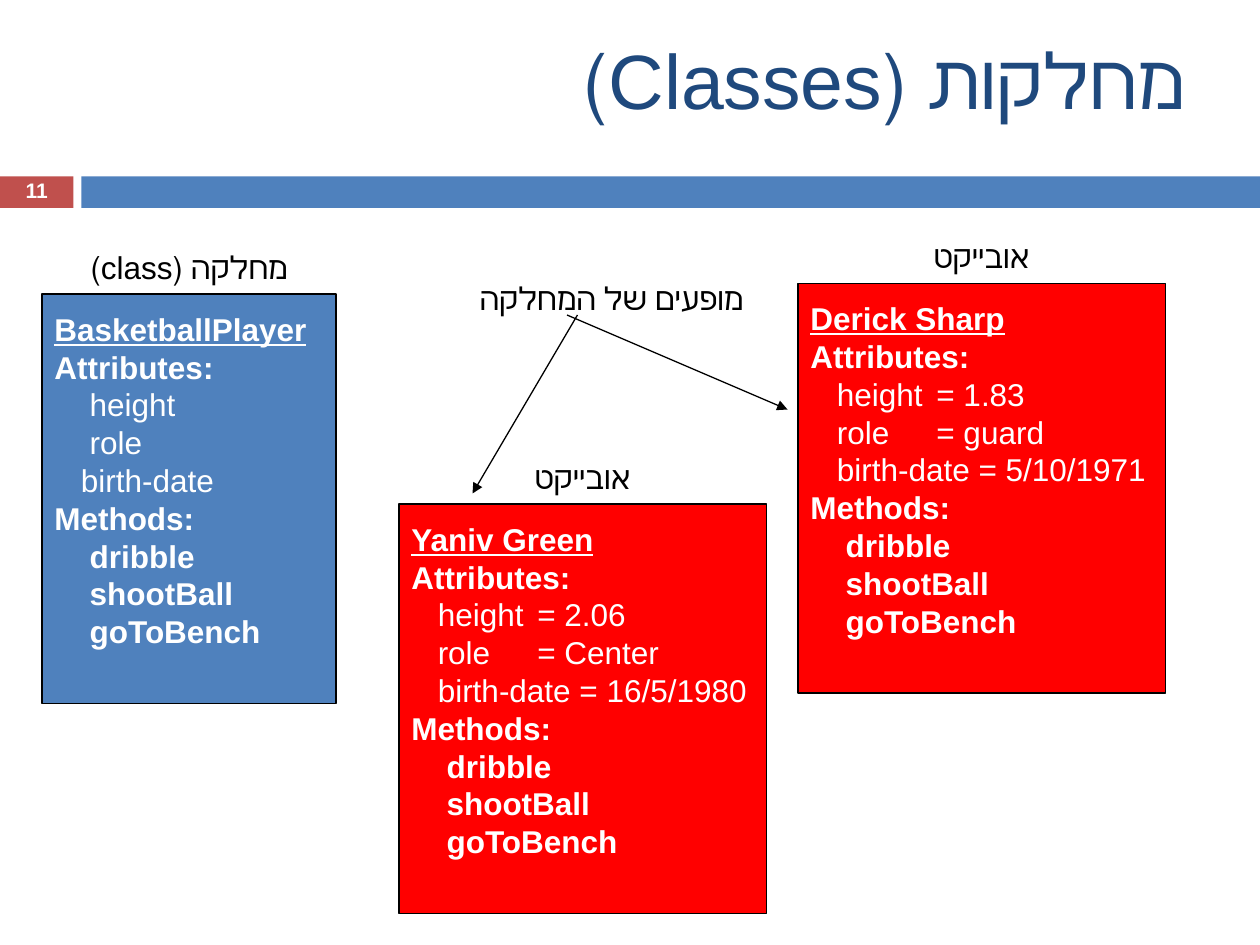
from pptx import Presentation
from pptx.util import Inches, Pt
from pptx.dml.color import RGBColor
from pptx.enum.shapes import MSO_SHAPE as Form, MSO_CONNECTOR as Wire
from pptx.enum.text import PP_ALIGN as Align, MSO_ANCHOR as Anchor
from pptx.oxml.ns import qn
from lxml.etree import SubElement as sub

deck = Presentation()
deck.slide_width, deck.slide_height = Inches(10), Inches(7.5)
page = deck.slides.add_slide(deck.slide_layouts[6])
UNIT = Inches(1) / 12  # grid of 120 columns by 90 rows


def box(home, col, row, wide, high, fill=None, line=None):
    """Add a rectangle, or a text box when there is no fill."""
    place = [round(n * UNIT) for n in (col, row, wide, high)]
    if fill is None:
        item = home.add_textbox(*place)
    else:
        item = home.add_shape(Form.RECTANGLE, *place)
        item.shadow.inherit = False
        item.fill.solid()
        item.fill.fore_color.rgb = RGBColor.from_string(fill)
        if line:
            item.line.color.rgb = RGBColor.from_string(line)
            item.line.width = Pt(0.75)
        else:
            item.line.fill.background()
    item.text_frame.word_wrap = True
    return item


def write(item, text, size=18, color="000000", bold=False, under=False,
          align=Align.CENTER, rtl=False, indent=0, tab=0, more=False):
    """Write one paragraph; more=True puts it after those already there."""
    frame = item.text_frame
    para = frame.add_paragraph() if more else frame.paragraphs[0]
    para.alignment = align
    props = para._p.get_or_add_pPr()
    if rtl:
        props.set("rtl", "1")
    if indent:
        props.set("marL", "0")
        props.set("indent", str(Inches(indent)))
    if tab:
        stops = sub(props, qn("a:tabLst"))
        sub(stops, qn("a:tab"), pos=str(Inches(tab)), algn="l")
    run = para.add_run()
    run.text = text
    font = run.font
    font.name, font.size, font.bold, font.underline = "Arial", Pt(size), bold, under
    font.color.rgb = RGBColor.from_string(color)
    return para


# Band with the slide number
box(page.shapes, 0, 16.8, 7, 3, "C0504D")
box(page.shapes, 7.75, 16.8, 112.25, 3, "4F81BD")
num = box(page.shapes, 0, 16.7, 7, 3.2)
num.text_frame.vertical_anchor = Anchor.MIDDLE
write(num, "11", size=12, color="FFFFFF", bold=True).line_spacing = 0.8

# Title
head = box(page.shapes, 6.1, 0, 108, 15)
head.text_frame.vertical_anchor = Anchor.MIDDLE
write(head, "מחלקות (Classes)", size=44, color="1F497D", align=Align.RIGHT, rtl=True)

# Class and object cards, each with its caption
cards = [
    (4, 28, 28, "4F81BD", "מחלקה (class)", "BasketballPlayer",
     [("height", 0.28), ("role", 0.28), ("birth-date", 0.21)]),
    (76, 27, 35, "FF0000", "אובייקט", "Derick Sharp",
     [("height\t= 1.83", 0.21), ("role\t= guard", 0.21),
      ("birth-date = 5/10/1971", 0.21)]),
    (38, 48, 35, "FF0000", "אובייקט", "Yaniv Green",
     [("height\t= 2.06", 0.21), ("role\t= Center", 0.21),
      ("birth-date = 16/5/1980", 0.21)]),
]
for col, row, wide, fill, label, name, facts in cards:
    group = page.shapes.add_group_shape().shapes
    card = box(group, col, row, wide, 39, fill, "000000")
    card.text_frame.vertical_anchor = Anchor.MIDDLE
    card.text_frame.margin_bottom = Inches(0.35)
    look = dict(color="FFFFFF", align=Align.LEFT)
    write(card, name, bold=True, under=True, **look)
    write(card, "Attributes:", bold=True, more=True, **look)
    for fact, indent in facts:
        write(card, fact, indent=indent, tab=1.23 if "\t" in fact else 0,
              more=True, **look)
    write(card, "Methods:", bold=True, more=True, **look)
    for call in ("dribble", "shootBall", "goToBench"):
        write(card, call, bold=True, indent=0.28, more=True, **look)
    write(box(group, col, row - 5, wide, 4.8), label, rtl=True)

# Note on instances, with an arrow to each object
write(box(page.shapes, 32, 26, 40, 4.8), "מופעים של המחלקה", align=Align.RIGHT)
for ends in [(55, 30, 45, 47), (54, 30, 75, 39)]:
    arrow = page.shapes.add_connector(Wire.STRAIGHT, *[round(n * UNIT) for n in ends])
    arrow.line.color.rgb = RGBColor.from_string("000000")
    arrow.line.width = Pt(0.75)
    sub(arrow.line._get_or_add_ln(), qn("a:tailEnd"), type="triangle")
    sub(arrow._element.spPr, qn("a:effectLst"))

deck.save("out.pptx")
